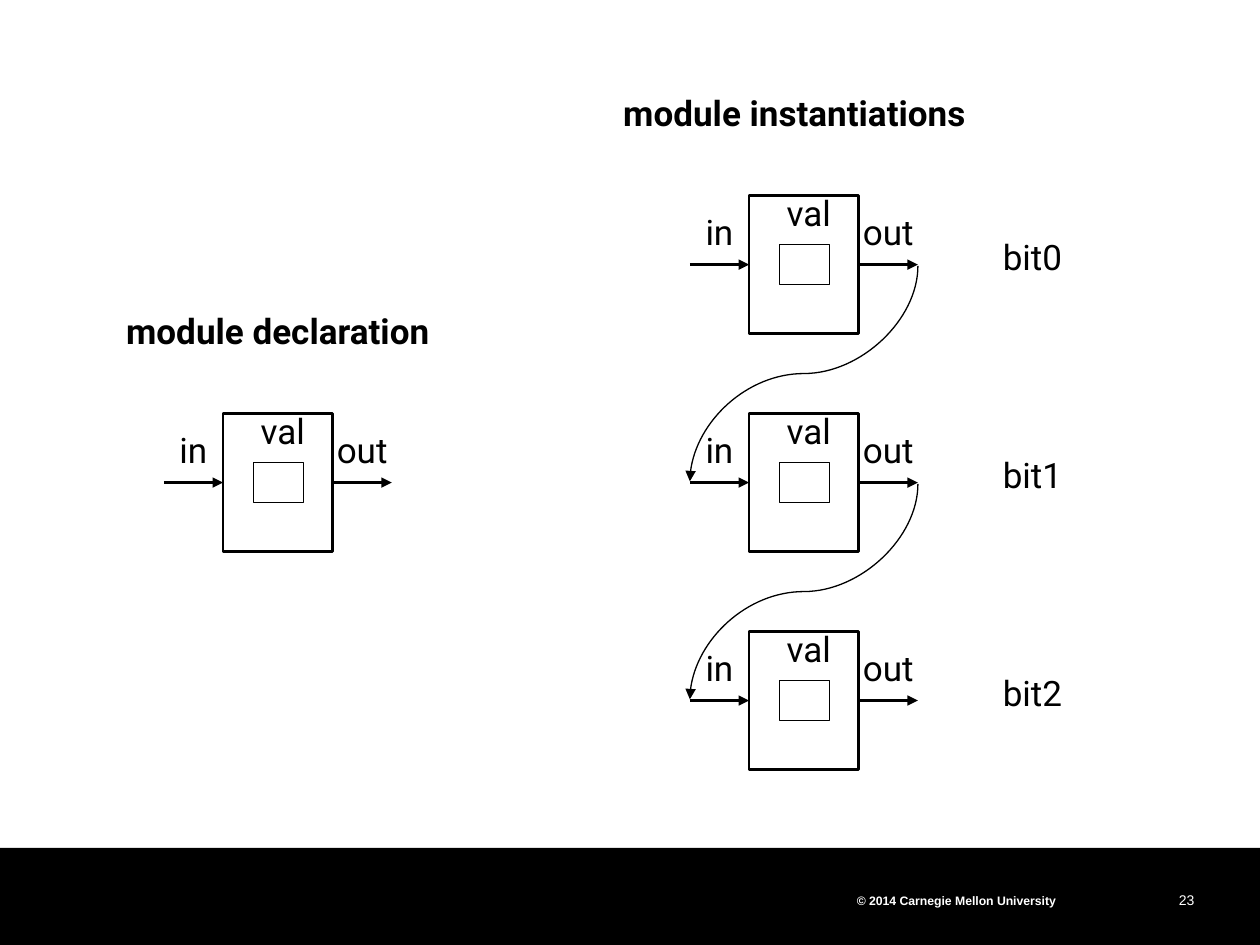
from lxml import etree
from pptx import Presentation
from pptx.dml.color import RGBColor
from pptx.enum.shapes import MSO_CONNECTOR, MSO_SHAPE
from pptx.enum.text import MSO_ANCHOR, PP_ALIGN
from pptx.oxml.ns import qn
from pptx.util import Inches, Pt

BLACK = RGBColor(0x00, 0x00, 0x00)
WHITE = RGBColor(0xFF, 0xFF, 0xFF)
RECT = MSO_SHAPE.RECTANGLE
STRAIGHT, CURVE = MSO_CONNECTOR.STRAIGHT, MSO_CONNECTOR.CURVE
LEFT, CENTER, RIGHT = PP_ALIGN.LEFT, PP_ALIGN.CENTER, PP_ALIGN.RIGHT
MIDDLE = MSO_ANCHOR.MIDDLE

HEADINGS = [("module declaration", 0.43, 2.41), ("module instantiations", 4.53, 0.68)]
DECLARATION = (1.77, 3.28)
INSTANCES = ["bit0", "bit1", "bit2"]
INSTANCE_X, INSTANCE_Y, PITCH = 5.945, 1.55, 1.73
BOX_W, BOX_H = 0.87, 1.1
WIRE = 0.47
PORT_DY = 0.55
TEXT_H = 0.43


def add_text(s, text, x, y, w, h=TEXT_H, size=20, font="Roboto", color=BLACK,
             bold=False, align=CENTER, inset=None, spacing=None):
    tf = s.shapes.add_textbox(Inches(x), Inches(y), Inches(w), Inches(h)).text_frame
    tf.word_wrap = True
    tf.vertical_anchor = MIDDLE
    if inset is not None:
        tf.margin_left = tf.margin_right = tf.margin_top = tf.margin_bottom = Inches(inset)
    p = tf.paragraphs[0]
    p.text = text
    p.alignment = align
    p.line_spacing = spacing
    p.font.size = Pt(size)
    p.font.name = font
    p.font.bold = bold
    p.font.color.rgb = color


def add_rect(s, x, y, w, h, line=None, fill=None):
    sp = s.shapes.add_shape(RECT, Inches(x), Inches(y), Inches(w), Inches(h))
    sp.shadow.inherit = False
    if fill is None:
        sp.fill.background()
    else:
        sp.fill.solid()
        sp.fill.fore_color.rgb = fill
    if line is None:
        sp.line.fill.background()
    else:
        sp.line.color.rgb = BLACK
        sp.line.width = Pt(line)


def add_arrow(s, kind, x1, y1, x2, y2, width):
    c = s.shapes.add_connector(kind, Inches(x1), Inches(y1), Inches(x2), Inches(y2))
    c.line.color.rgb = BLACK
    c.line.width = Pt(width)
    etree.SubElement(c.line._get_or_add_ln(), qn("a:tailEnd"), type="triangle")
    etree.SubElement(c._element.spPr, qn("a:effectLst"))
    return c


def add_link(s, x1, y1, x2, y2):
    cx, cy = (x1 + x2) / 2, (y1 + y2) / 2
    half_w, half_h = (y2 - y1) / 2, (x1 - x2) / 2
    c = add_arrow(s, CURVE, cx - half_w, cy - half_h, cx + half_w, cy + half_h, 0.75)
    c._element.spPr.find(qn("a:xfrm")).set("rot", "5400000")


def add_module(s, x, y):
    right, port = x + BOX_W, y + PORT_DY
    add_rect(s, x, y, BOX_W, BOX_H, line=1.5)
    add_rect(s, x + 0.24, y + 0.39, 0.4, 0.32, line=0.75)
    add_arrow(s, STRAIGHT, x - WIRE, port, x, port, 1.5)
    add_arrow(s, STRAIGHT, right, port, right + WIRE, port, 1.5)
    add_text(s, "in", x - WIRE, y + 0.07, WIRE)
    add_text(s, "out", right - 0.08, y + 0.07, 0.63)
    add_text(s, "val", x + 0.16, y - 0.08, 0.63)


def main():
    prs = Presentation()
    prs.slide_width, prs.slide_height = Inches(10), Inches(7.5)
    s = prs.slides.add_slide(prs.slide_layouts[6])

    add_rect(s, 0, 6.73, 10, 0.77, fill=BLACK)
    add_text(s, "23", 8.56, 7.03, 0.92, 0.18, size=8, font="Arial", color=WHITE,
             align=RIGHT, inset=0, spacing=Pt(13))
    add_text(s, "© 2014 Carnegie Mellon University", 6.75, 6.98, 2.5, 0.28, size=7,
             font="Arial", color=WHITE, bold=True, align=LEFT, inset=0.05, spacing=1.5)

    for text, x, y in HEADINGS:
        add_text(s, text, x, y, 3.55, bold=True)

    add_module(s, *DECLARATION)
    for i, name in enumerate(INSTANCES):
        y = INSTANCE_Y + i * PITCH
        add_module(s, INSTANCE_X, y)
        add_text(s, name, 7.76, y + 0.27, 0.87)
        if i:
            port = y + PORT_DY
            add_link(s, INSTANCE_X + BOX_W + WIRE, port - PITCH + 0.01,
                     INSTANCE_X - WIRE, port - 0.01)

    prs.save("out.pptx")


if __name__ == "__main__":
    main()
